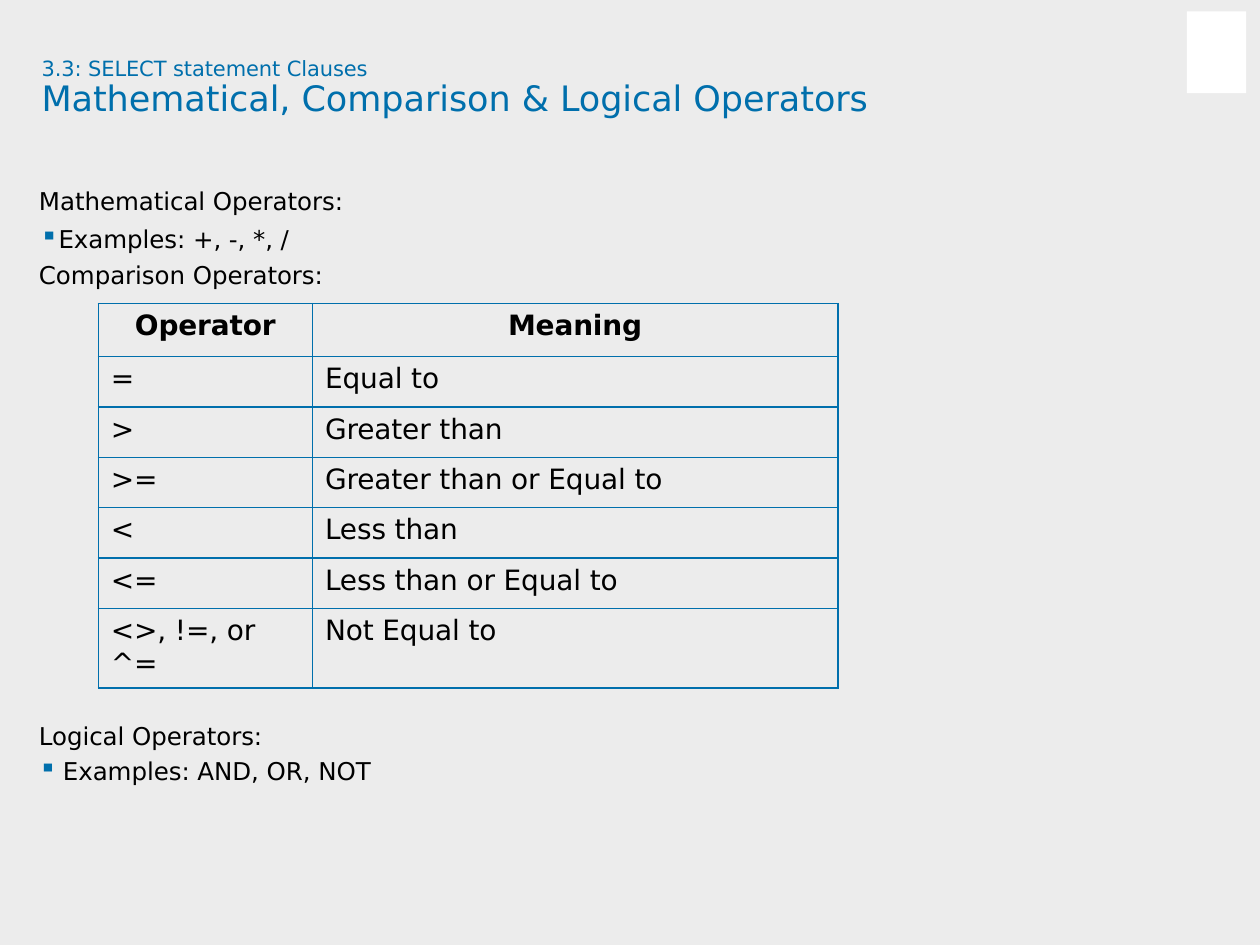
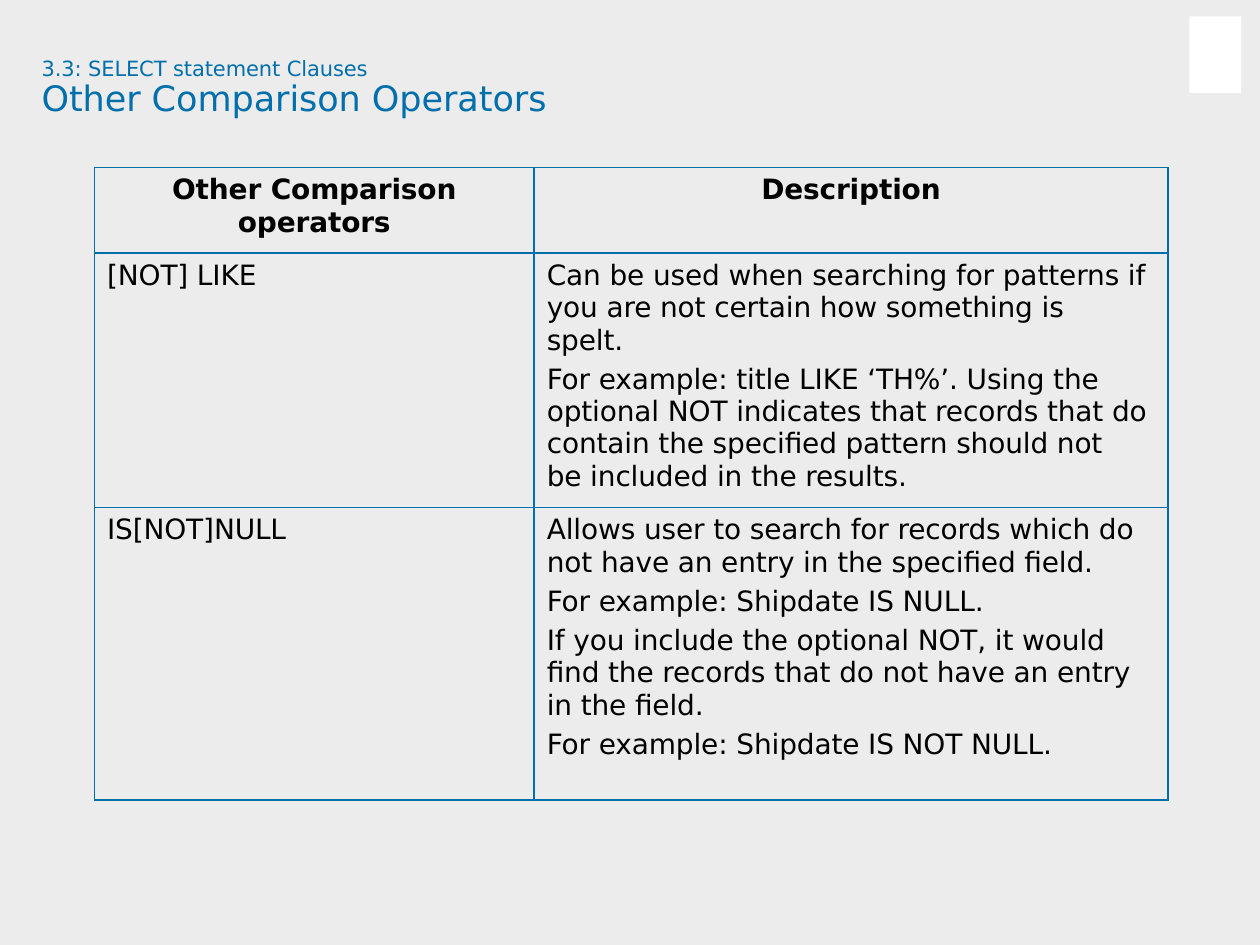
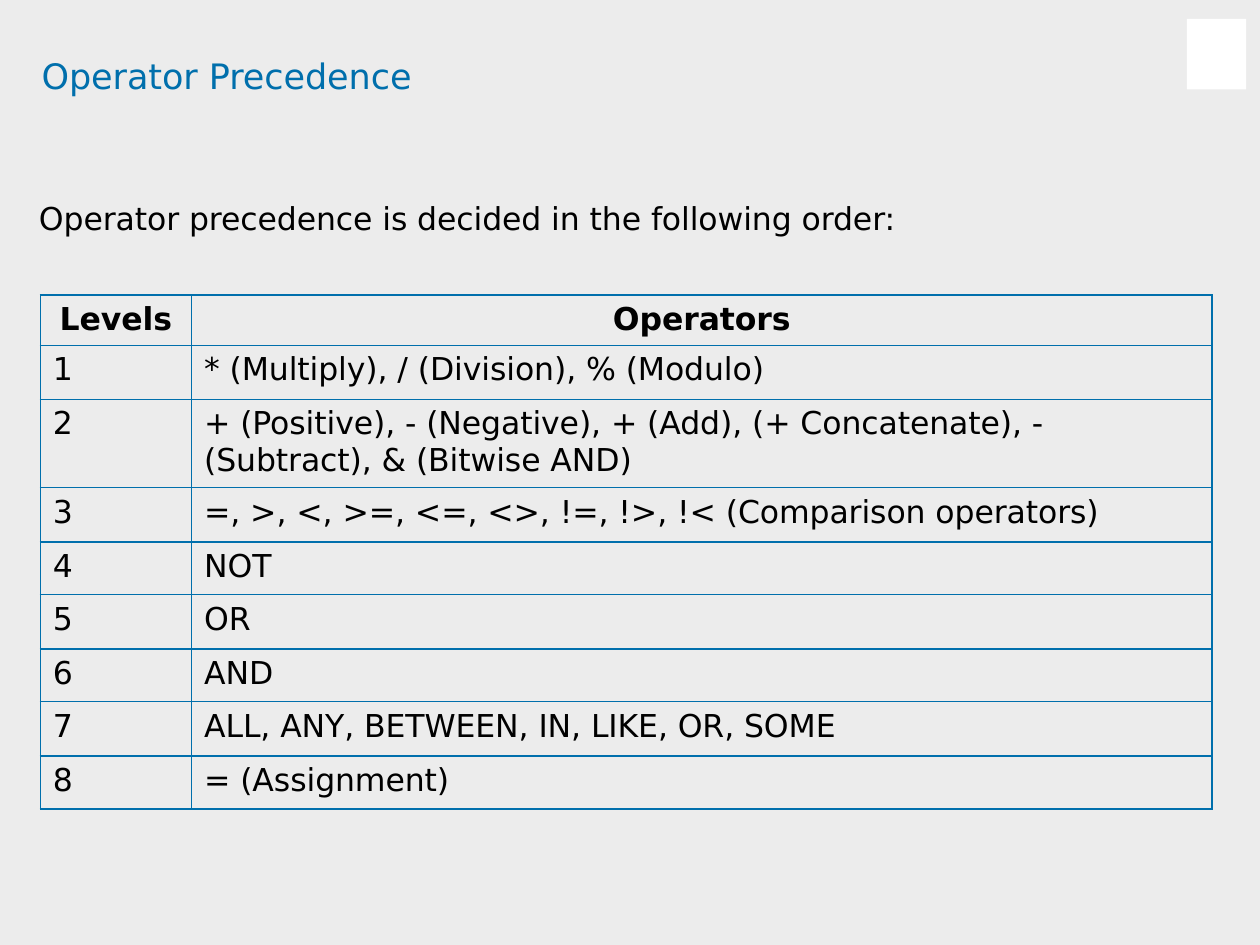
from lxml import etree
from pptx import Presentation
from pptx import util as u
from pptx.dml.color import RGBColor
from pptx.enum import shapes, text
from pptx.oxml import ns

FONT = "DejaVu Sans"
BLUE, BLACK, GREY, WHITE = "006FAC", "000000", "ECECEC", "FFFFFF"
CLAUSE = "3.3: SELECT statement Clauses"


def paint(color, value):
    color.rgb = RGBColor.from_string(value)


def fill(part, value):
    part.fill.solid()
    paint(part.fill.fore_color, value)


def node(parent, tag, **attrs):
    return etree.SubElement(parent, ns.qn(tag), attrs)


def write(para, words, size, color=BLACK, bold=False):
    """Add words to a paragraph; a newline in them is a line break."""
    for i, line in enumerate(words.split("\n")):
        if i:
            para.add_line_break()
        run = para.add_run()
        run.text = line
        run.font.name = FONT
        run.font.size = u.Pt(size)
        run.font.bold = bold
        paint(run.font.color, color)
        run.font._element.set("spc", "-5")


def bullet(para, left, hang):
    props = para._p.get_or_add_pPr()
    props.set("marL", str(u.Inches(left)))
    props.set("indent", str(u.Inches(-hang)))
    node(node(props, "a:buClr"), "a:srgbClr", val=BLUE)
    node(props, "a:buChar", char="▪")


def label(slide, box, inset=0.02):
    """Add an empty text box and return its frame."""
    frame = slide.shapes.add_textbox(*map(u.Inches, box)).text_frame
    frame.word_wrap = True
    frame.margin_left = frame.margin_right = frame.margin_bottom = 0
    frame.margin_top = u.Inches(inset)
    return frame


def line(slide, box, words, size, color=BLACK):
    write(label(slide, box).paragraphs[0], words, size, color)


def head(slide, title, top, patch, clause=None):
    """Title, the clause above it, and the white patch at the corner."""
    mark = slide.shapes.add_shape(shapes.MSO_SHAPE.RECTANGLE,
                                  *map(u.Inches, patch))
    mark.shadow.inherit = False
    fill(mark, WHITE)
    mark.line.fill.background()
    if clause:
        line(slide, (0.33, top - 0.17, 4, 0.23), clause, 12, BLUE)
    line(slide, (0.33, top, 8, 0.36), title, 20, BLUE)


def border(cell):
    props = cell._tc.get_or_add_tcPr()
    for side in "LRTB":
        edge = node(props, "a:ln" + side, w=str(u.Pt(1)))
        node(node(edge, "a:solidFill"), "a:srgbClr", val=BLUE)


def grid(slide, left, top, cols, highs, rows, size):
    """Bordered table: the first row is the heading, a list is paragraphs."""
    table = slide.shapes.add_table(
        len(rows), len(cols), u.Inches(left), u.Inches(top),
        u.Inches(sum(cols)), u.Inches(sum(highs))).table
    table.first_row = table.horz_banding = False
    for col, wide in zip(table.columns, cols):
        col.width = u.Inches(wide)
    for r, (row, high) in enumerate(zip(rows, highs)):
        table.rows[r].height = u.Inches(high)
        for c, entry in enumerate(row):
            cell = table.cell(r, c)
            border(cell)
            fill(cell, GREY)
            cell.margin_left = u.Inches(0.1 if r else 0)
            cell.margin_right = cell.margin_bottom = 0
            cell.margin_top = u.Inches(0.05)
            paras = entry if isinstance(entry, list) else [entry]
            for i, words in enumerate(paras):
                para = (cell.text_frame.add_paragraph() if i
                        else cell.text_frame.paragraphs[0])
                if i:
                    para.space_before = u.Pt(3.9)
                if not r:
                    para.alignment = text.PP_ALIGN.CENTER
                write(para, words, size, bold=not r)


def kinds(slide):
    """Mathematical, comparison and logical operators."""
    head(slide, "Mathematical, Comparison & Logical Operators", 0.59,
         (9.42, 0.09, 0.47, 0.65), CLAUSE)

    # Lines above the table
    frame = label(slide, (0.31, 1.41, 3.5, 0.88), 0.07)
    write(frame.paragraphs[0], "Mathematical Operators:", 14)
    for words in ("Examples: +, -, *, /", "Comparison Operators:"):
        para = frame.add_paragraph()
        para.line_spacing = u.Pt(20.6)
        if words.startswith("Examples"):
            para.space_before = u.Pt(0.8)
            bullet(para, 0.01, 0)
        write(para, words, 14)

    rows = [("Operator", "Meaning"),
            ("=", "Equal to"),
            (">", "Greater than"),
            (">=", "Greater than or Equal to"),
            ("<", "Less than"),
            ("<=", "Less than or Equal to"),
            ("<>, !=, or\n^=", "Not Equal to")]
    grid(slide, 0.78, 2.41, (1.7, 4.17), [0.42] + [0.4] * 5 + [0.63], rows, 16)

    # Lines below the table
    frame = label(slide, (0.31, 5.65, 3.5, 0.59), 0.07)
    write(frame.paragraphs[0], "Logical Operators:", 14)
    para = frame.add_paragraph()
    para.space_before = u.Pt(3.5)
    bullet(para, 0.19, 0.19)
    write(para, "Examples: AND, OR, NOT", 14)


def others(slide):
    """Other comparison operators."""
    head(slide, "Other Comparison Operators", 0.59,
         (9.44, 0.13, 0.41, 0.61), CLAUSE)
    like = ["Can be used when searching for patterns if\n"
            "you are not certain how something is\nspelt.",
            "For example: title LIKE ‘TH%’. Using the\n"
            "optional NOT indicates that records that do\n"
            "contain the specified pattern should not\n"
            "be included in the results."]
    null = ["Allows user to search for records which do\n"
            "not have an entry in the specified field.",
            "For example: Shipdate IS NULL.",
            "If you include the optional NOT, it would\n"
            "find the records that do not have an entry\nin the field.",
            "For example: Shipdate IS NOT NULL."]
    rows = [("Other Comparison\noperators", "Description"),
            ("[NOT] LIKE", like),
            ("IS[NOT]NULL", null)]
    grid(slide, 0.75, 1.33, (3.49, 5.03), (0.68, 2.02, 2.32), rows, 16)


def order(slide):
    """Operator precedence."""
    head(slide, "Operator Precedence", 0.41, (9.42, 0.15, 0.47, 0.56))
    line(slide, (0.31, 1.56, 8, 0.33),
         "Operator precedence is decided in the following order:", 18)
    levels = ["* (Multiply), / (Division), % (Modulo)",
              "+ (Positive), - (Negative), + (Add), (+ Concatenate), -\n"
              "(Subtract), & (Bitwise AND)",
              "=, >, <, >=, <=, <>, !=, !>, !< (Comparison operators)",
              "NOT", "OR", "AND",
              "ALL, ANY, BETWEEN, IN, LIKE, OR, SOME",
              "= (Assignment)"]
    rows = [("Levels", "Operators")]
    rows += [(str(n), words) for n, words in enumerate(levels, 1)]
    highs = [0.4, 0.43, 0.7, 0.43] + [0.42, 0.43] * 2 + [0.42]
    grid(slide, 0.32, 2.34, (1.2, 8.1), highs, rows, 18)


def main():
    deck = Presentation()
    deck.slide_width, deck.slide_height = u.Inches(10), u.Inches(7.5)
    fill(deck.slide_master.background, GREY)
    for build in (kinds, others, order):
        build(deck.slides.add_slide(deck.slide_layouts[6]))
    deck.save("out.pptx")


if __name__ == "__main__":
    main()
